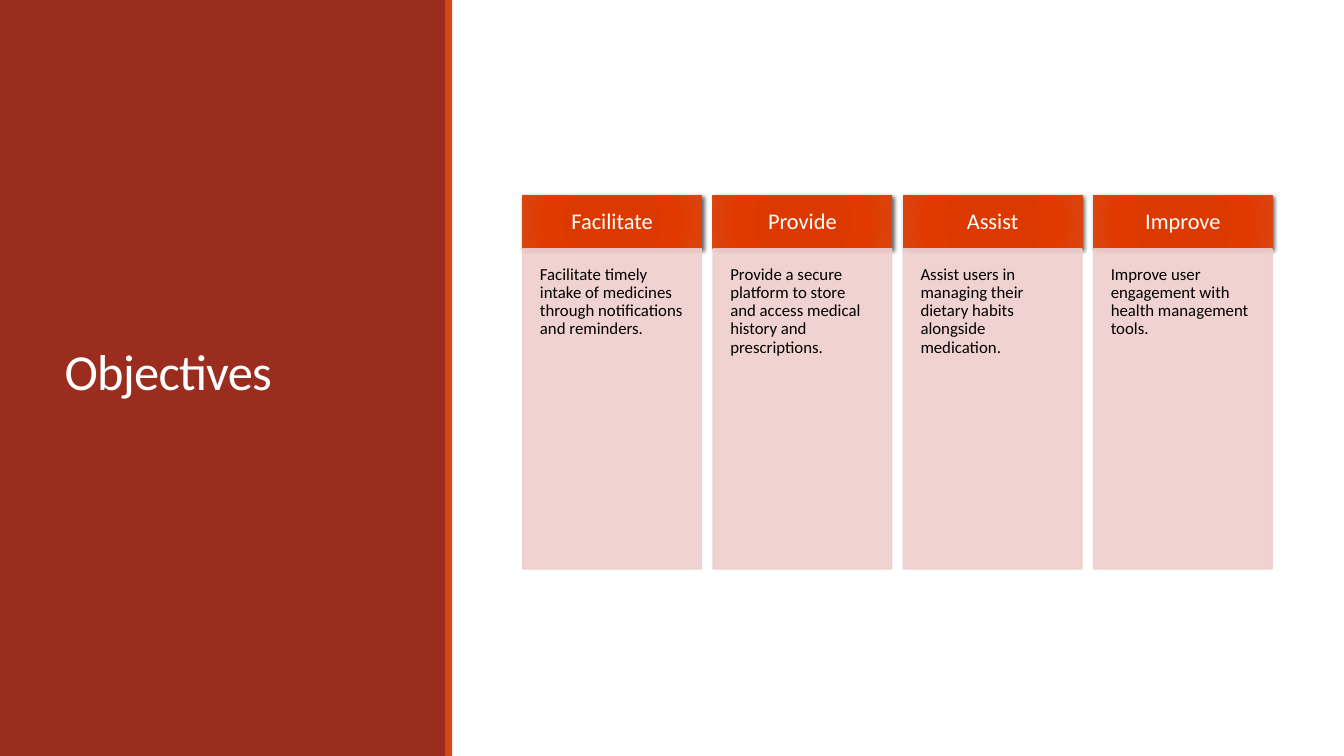
from lxml.etree import SubElement
from pptx import Presentation
from pptx.dml.color import RGBColor
from pptx.enum.shapes import MSO_SHAPE
from pptx.enum.text import MSO_ANCHOR, PP_ALIGN
from pptx.oxml.ns import qn
from pptx.util import Pt

COLORS = {
    "panel": "9B2D1F",
    "accent": "D34817",
    "card": "EFCFCC",
    "white": "FFFFFF",
    "black": "000000",
}
HEADER_STOPS = [(0, "DA3900"), (34, "DC3900"), (70, "E03A00"), (100, "DC440E")]
OBJECTIVES = [
    ("Facilitate", "Facilitate timely intake of medicines through notifications and reminders."),
    ("Provide", "Provide a secure platform to store and access medical history and prescriptions."),
    ("Assist", "Assist users in managing their dietary habits alongside medication."),
    ("Improve", "Improve user engagement with health management tools."),
]
CARD_LEFT, CARD_PITCH, CARD_WIDTH = 373.5, 135.9, 127.5
HEADER_TOP, HEADER_HEIGHT, BODY_HEIGHT = 139.5, 38.25, 228.75


def add_node(parent, tag, **attrs):
    return SubElement(parent, qn(tag), {k: str(v) for k, v in attrs.items()})


def write_text(sp, text, size=12, color="black", align=PP_ALIGN.LEFT,
               anchor=MSO_ANCHOR.TOP, inset=7.2, line_spacing=0.9, spacing=0):
    tf = sp.text_frame
    tf.word_wrap = True
    tf.vertical_anchor = anchor
    tf.margin_left = tf.margin_right = Pt(inset)
    tf.margin_top = tf.margin_bottom = Pt(inset)
    p = tf.paragraphs[0]
    p.alignment = align
    p.line_spacing = line_spacing
    r = p.add_run()
    r.text = text
    r.font.name = "Calibri"
    r.font.size = Pt(size)
    r.font.color.rgb = RGBColor.from_string(COLORS[color])
    if spacing:
        r.font._element.set("spc", str(int(spacing * 100)))


class Deck:
    def __init__(self):
        self.prs = Presentation()
        self.prs.slide_width, self.prs.slide_height = Pt(960), Pt(540)
        self.s = self.prs.slides.add_slide(self.prs.slide_layouts[6])

    def rect(self, x, y, w, h, fill, line=None, alpha=None):
        sp = self.s.shapes.add_shape(MSO_SHAPE.RECTANGLE, Pt(x), Pt(y), Pt(w), Pt(h))
        sp.shadow.inherit = False
        sp.fill.solid()
        sp.fill.fore_color.rgb = RGBColor.from_string(COLORS[fill])
        if line:
            sp.line.color.rgb = RGBColor.from_string(COLORS[line])
            sp.line.width = Pt(1)
        else:
            sp.line.fill.background()
        if alpha:
            for color in sp._element.spPr.iter(qn("a:srgbClr")):
                add_node(color, "a:alpha", val=alpha * 1000)
        return sp

    def title(self, x, y, w, h, text):
        sp = self.s.shapes.add_textbox(Pt(x), Pt(y), Pt(w), Pt(h))
        write_text(sp, text, size=36, color="white", anchor=MSO_ANCHOR.MIDDLE,
                   line_spacing=0.85, spacing=-0.5)

    def header(self, x, y, w, h, text):
        sp = self.rect(x, y, w, h, "accent", line="accent")
        sp.fill.gradient()
        grad = sp._element.spPr.find(qn("a:gradFill"))
        for child in list(grad):
            grad.remove(child)
        stops = add_node(grad, "a:gsLst")
        for pos, color in HEADER_STOPS:
            add_node(add_node(stops, "a:gs", pos=pos * 1000), "a:srgbClr", val=color)
        circle = add_node(grad, "a:path", path="circle")
        add_node(circle, "a:fillToRect", l=100000, t=100000, r=100000, b=100000)
        effects = sp._element.spPr.find(qn("a:effectLst"))
        shadow = add_node(effects, "a:outerShdw", blurRad=Pt(3), dist=Pt(2),
                          dir=45 * 60000, algn="ctr", rotWithShape=0)
        color = add_node(shadow, "a:srgbClr", val=COLORS["black"])
        add_node(color, "a:alpha", val=60000)
        write_text(sp, text, size=16, color="white", align=PP_ALIGN.CENTER,
                   anchor=MSO_ANCHOR.MIDDLE, inset=10)

    def body(self, x, y, w, h, text):
        sp = self.rect(x, y, w, h, "card", line="card", alpha=90)
        write_text(sp, text, inset=12.25)


def main():
    deck = Deck()
    deck.rect(0, 0, 319, 540, "panel")
    deck.title(39, 41, 242.5, 454.5, "Objectives")
    deck.rect(318, 0, 5, 540, "accent")
    for i, (name, detail) in enumerate(OBJECTIVES):
        x = CARD_LEFT + i * CARD_PITCH
        deck.header(x, HEADER_TOP, CARD_WIDTH, HEADER_HEIGHT, name)
        deck.body(x, HEADER_TOP + HEADER_HEIGHT, CARD_WIDTH, BODY_HEIGHT, detail)
    deck.prs.save("out.pptx")


if __name__ == "__main__":
    main()
